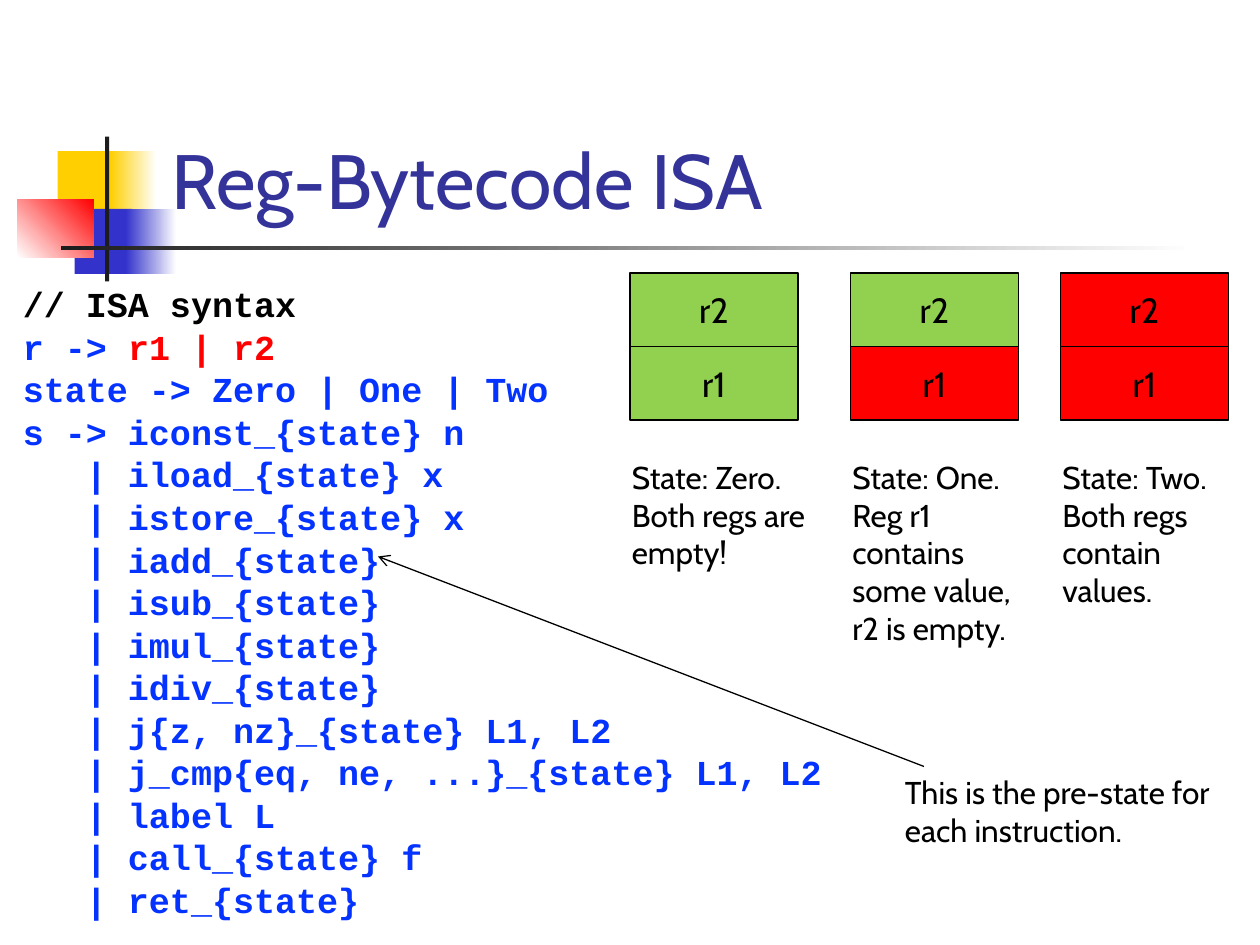
from lxml import etree
from pptx import Presentation
from pptx import util as u
from pptx.dml.color import RGBColor
from pptx.enum import shapes, text
from pptx.oxml.ns import qn

CELL = u.Inches(1) / 12
COLORS = {
    "yellow": "FFCF01", "blue": "3333CC", "red": "FF0000", "white": "FFFFFF",
    "dark": "1C1C1C", "title": "333399", "code": "0432FF", "black": "000000",
    "empty": "92D050",
}
MOTIF = [
    ((5.5, 14.4, 5.8, 6.2), ("yellow",), 0),
    ((10.5, 14.4, 4.4, 6.2), ("yellow", "white"), 0),
    ((7.1, 19.9, 5.5, 6.2), ("blue",), 0),
    ((12, 19.9, 4.8, 6.2), ("blue", "white"), 0),
    ((1.65, 19, 7.3, 5.5), ("white", "red"), 45),
    ((10, 13, 0.4, 13.8), ("dark",), 0),
    ((5.8, 23.4, 108, 0.4), ("dark", "white"), 0),
]
CODE = [
    [("// ISA syntax", "black")],
    [("r -> ", "code"), ("r1 | r2", "red")],
    [("state -> Zero | One | Two", "code")],
    [("s -> iconst_{state} n", "code")],
]
INSTRUCTIONS = [
    "iload_{state} x", "istore_{state} x", "iadd_{state}", "isub_{state}",
    "imul_{state}", "idiv_{state}", "j{z, nz}_{state} L1, L2",
    "j_cmp{eq, ne, ...}_{state} L1, L2", "label L", "call_{state} f", "ret_{state}",
]
STATES = [
    (60, ("empty", "empty"), ["State: Zero.", "Both regs are empty!"]),
    (81, ("empty", "red"), ["State: One.", "Reg r1 contains some value, r2 is empty."]),
    (101, ("red", "red"), ["State: Two.", "Both regs contain values."]),
]


def color(name):
    """Return the named colour."""
    return RGBColor.from_string(COLORS[name])


def grid(*cells):
    """Turn grid cells into lengths."""
    return [u.Emu(round(cell * CELL)) for cell in cells]


def style(font, size, name, face="Cabin", bold=False):
    """Format a font."""
    font.size, font.name, font.bold = u.Pt(size), face, bold
    font.color.rgb = color(name)


def add_rectangle(slide, box, fills, angle=0):
    """Add a rectangle with a solid or two-colour fill and no line."""
    shape = slide.shapes.add_shape(shapes.MSO_SHAPE.RECTANGLE, *grid(*box))
    shape.shadow.inherit = False
    shape.line.fill.background()
    if len(fills) == 1:
        shape.fill.solid()
        shape.fill.fore_color.rgb = color(fills[0])
    else:
        shape.fill.gradient()
        shape.fill.gradient_angle = angle
        for stop, name, position in zip(shape.fill.gradient_stops, fills, (0, 1)):
            stop.color.rgb = color(name)
            stop.position = position
    return shape


def add_title(slide, box):
    """Place the title in its placeholder."""
    title = slide.shapes.title
    title.left, title.top, title.width, title.height = grid(*box)
    frame = title.text_frame
    frame.text = "Reg-Bytecode ISA"
    frame.vertical_anchor = text.MSO_ANCHOR.BOTTOM
    frame.paragraphs[0].alignment = text.PP_ALIGN.LEFT
    style(frame.paragraphs[0].runs[0].font, 44, "title")


def add_code(slide, box):
    """Add the syntax listing, one paragraph a line."""
    frame = slide.shapes.add_textbox(*grid(*box)).text_frame
    frame.word_wrap = True
    frame.margin_top = u.Inches(0.1)
    lines = CODE + [[(f"   | {name}", "code")] for name in INSTRUCTIONS]
    for index, line in enumerate(lines):
        paragraph = frame.add_paragraph() if index else frame.paragraphs[0]
        paragraph.line_spacing = 0.8
        paragraph.space_before = u.Pt(5.1 if index else 0)
        for words, name in line:
            run = paragraph.add_run()
            run.text = words
            style(run.font, 20, name, "Courier New", True)


def add_note(slide, box, lines):
    """Add a plain note."""
    frame = slide.shapes.add_textbox(*grid(*box)).text_frame
    frame.word_wrap = True
    frame.text = "\n".join(lines)
    for paragraph in frame.paragraphs:
        style(paragraph.runs[0].font, 18, "black")


def add_state(slide, box, fills, lines):
    """Stack the two registers over their caption."""
    left, top, width, height = box
    for row, (label, fill) in enumerate(zip(("r2", "r1"), fills)):
        shape = add_rectangle(slide, (left, top + row * height, width, height), (fill,))
        shape.line.color.rgb = color("black")
        shape.line.width = u.Pt(0.75)
        frame = shape.text_frame
        frame.text = label
        frame.word_wrap = False
        frame.vertical_anchor = text.MSO_ANCHOR.MIDDLE
        frame.paragraphs[0].alignment = text.PP_ALIGN.CENTER
        style(frame.paragraphs[0].runs[0].font, 20, "black")
    add_note(slide, (left - 1, top + 17, width + 3, 16), lines)


def add_arrow(slide, start, end):
    """Draw an open-headed arrow."""
    arrow = slide.shapes.add_connector(
        shapes.MSO_CONNECTOR.STRAIGHT, *grid(*start, *end))
    arrow.line.color.rgb = color("black")
    arrow.line.width = u.Pt(0.75)
    etree.SubElement(arrow.line._get_or_add_ln(), qn("a:tailEnd"), type="arrow")
    etree.SubElement(arrow._element.spPr, qn("a:effectLst"))


def main():
    """Build and save the slide."""
    presentation = Presentation()
    presentation.slide_width, presentation.slide_height = grid(120, 90)
    slide = presentation.slides.add_slide(presentation.slide_layouts[5])
    for box, fills, angle in MOTIF:
        add_rectangle(slide, box, fills, angle)
    add_title(slide, (15.1, 2.8, 102.2, 19.2))
    add_code(slide, (1, 26.5, 79, 54))
    for left, fills, lines in STATES:
        add_state(slide, (left, 26, 16, 7), fills, lines)
    add_note(slide, (85, 73, 32, 8.5), ["This is the pre-state for each instruction."])
    add_arrow(slide, (88, 73), (36, 53))
    presentation.save("out.pptx")


if __name__ == "__main__":
    main()
